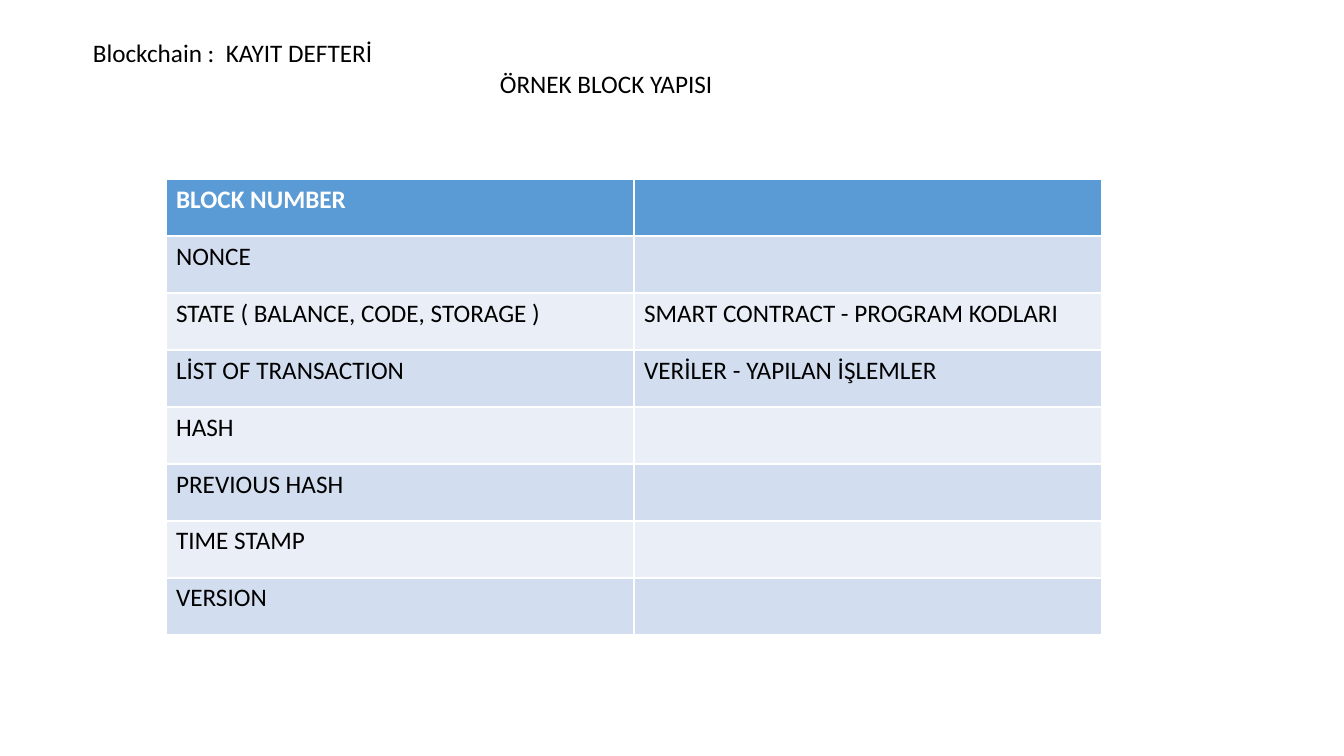
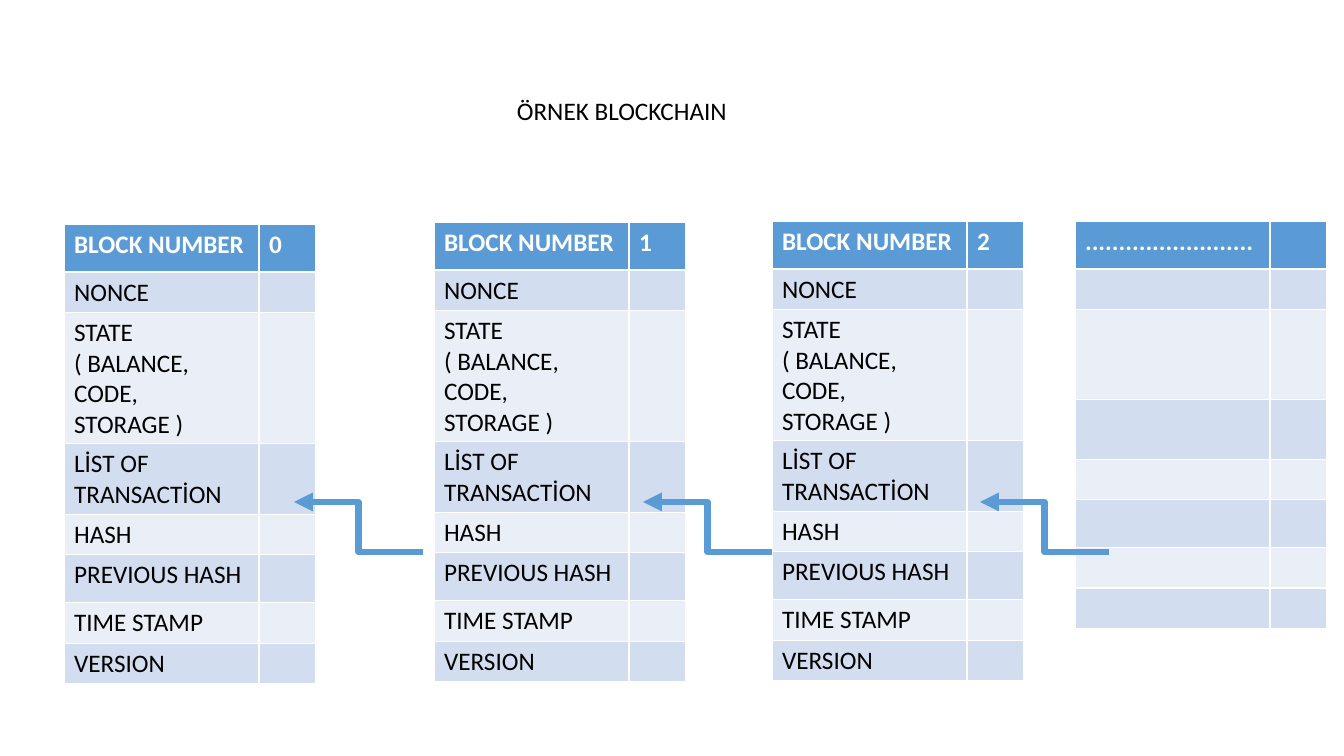
from pptx import Presentation
from pptx.dml.color import RGBColor
from pptx.enum.shapes import MSO_CONNECTOR
from pptx.enum.text import MSO_AUTO_SIZE
from pptx.oxml.ns import qn
from pptx.util import Emu, Pt
from lxml.etree import SubElement

SCALE = 12192000 / 1344
FONT, SIZE = "Calibri", Pt(18)
HEX = {"head": "5B9BD5", "odd": "D2DEEF", "even": "EAEFF7",
       "light": "FFFFFF", "dark": "000000"}
COLOR = {name: RGBColor.from_string(code) for name, code in HEX.items()}


def px(*nums):
    """Turn pixels into a list of EMU lengths."""
    return [Emu(round(num * SCALE)) for num in nums]


def write(frame, text, tone="dark", bold=False):
    """Put one line of styled text into a text frame."""
    frame.text = text
    for run in frame.paragraphs[0].runs:
        font = run.font
        font.name, font.size, font.bold = FONT, SIZE, bold
        font.color.rgb = COLOR[tone]


deck = Presentation()
deck.slide_width, deck.slide_height = px(1344, 756)
blank = deck.slide_layouts[6]
single, chain = [deck.slides.add_slide(blank) for _ in range(2)]

# Labels
labels = [
    (single, "ÖRNEK BLOCK YAPISI", 490, 63, 235),
    (single, "Blockchain :  KAYIT DEFTERİ", 83, 32, 302),
    (chain, "ÖRNEK BLOCKCHAIN", 507, 90, 233),
]
for slide, text, left, top, width in labels:
    frame = slide.shapes.add_textbox(*px(left, top, width, 40)).text_frame
    write(frame, text)
    frame.word_wrap = False
    frame.auto_size = MSO_AUTO_SIZE.SHAPE_TO_FIT_TEXT

# Block tables: slide, left, top, column widths, row heights, cell texts
fields = ["BLOCK NUMBER", "NONCE", "STATE ( BALANCE, CODE, STORAGE )",
          "LİST OF TRANSACTİON", "HASH", "PREVIOUS HASH", "TIME STAMP",
          "VERSION"]
notes = {2: "SMART CONTRACT - PROGRAM KODLARI",
         3: "VERİLER - YAPILAN İŞLEMLER"}
sample = [(name, notes.get(row, "")) for row, name in enumerate(fields)]
sample[3] = ("LİST OF TRANSACTION", notes[3])

narrow = [195, 57]
full = [48, 40, 131, 71, 40, 48, 40, 40]
bare = [48, 40, 90, 60, 40, 48, 40, 40]
blocks = [(single, 166, 179, [468, 468], [57] * 8, sample)]
for num, (left, top) in enumerate([(64, 224), (434, 222), (772, 221)]):
    cells = [(name, "") for name in fields]
    cells[0] = (fields[0], str(num))
    blocks.append((chain, left, top, narrow, full, cells))
rest = [("." * 25, "")] + [("", "")] * 7
blocks.append((chain, 1075, 221, narrow, bare, rest))

for slide, left, top, widths, heights, cells in blocks:
    place = px(left, top, sum(widths), sum(heights))
    table = slide.shapes.add_table(len(heights), len(widths), *place).table
    for col, width in zip(table.columns, px(*widths)):
        col.width = width
    for row, height in zip(table.rows, px(*heights)):
        row.height = height
    for row, texts in enumerate(cells):
        band = "head" if row == 0 else "odd" if row % 2 else "even"
        tone = "light" if row == 0 else "dark"
        for col, text in enumerate(texts):
            cell = table.cell(row, col)
            cell.fill.solid()
            cell.fill.fore_color.rgb = COLOR[band]
            write(cell.text_frame, text, tone, bold=row == 0)

# Arrows back to the previous block
for tip in (294, 643, 980):
    ends = px(tip + 129, 552, tip, 502)
    arrow = chain.shapes.add_connector(MSO_CONNECTOR.ELBOW, *ends)
    arrow.line.color.rgb = COLOR["head"]
    arrow.line.width = Pt(4.5)
    SubElement(arrow.line._get_or_add_ln(), qn("a:tailEnd"), type="triangle")
    SubElement(arrow._element.spPr, qn("a:effectLst"))

deck.save("out.pptx")
